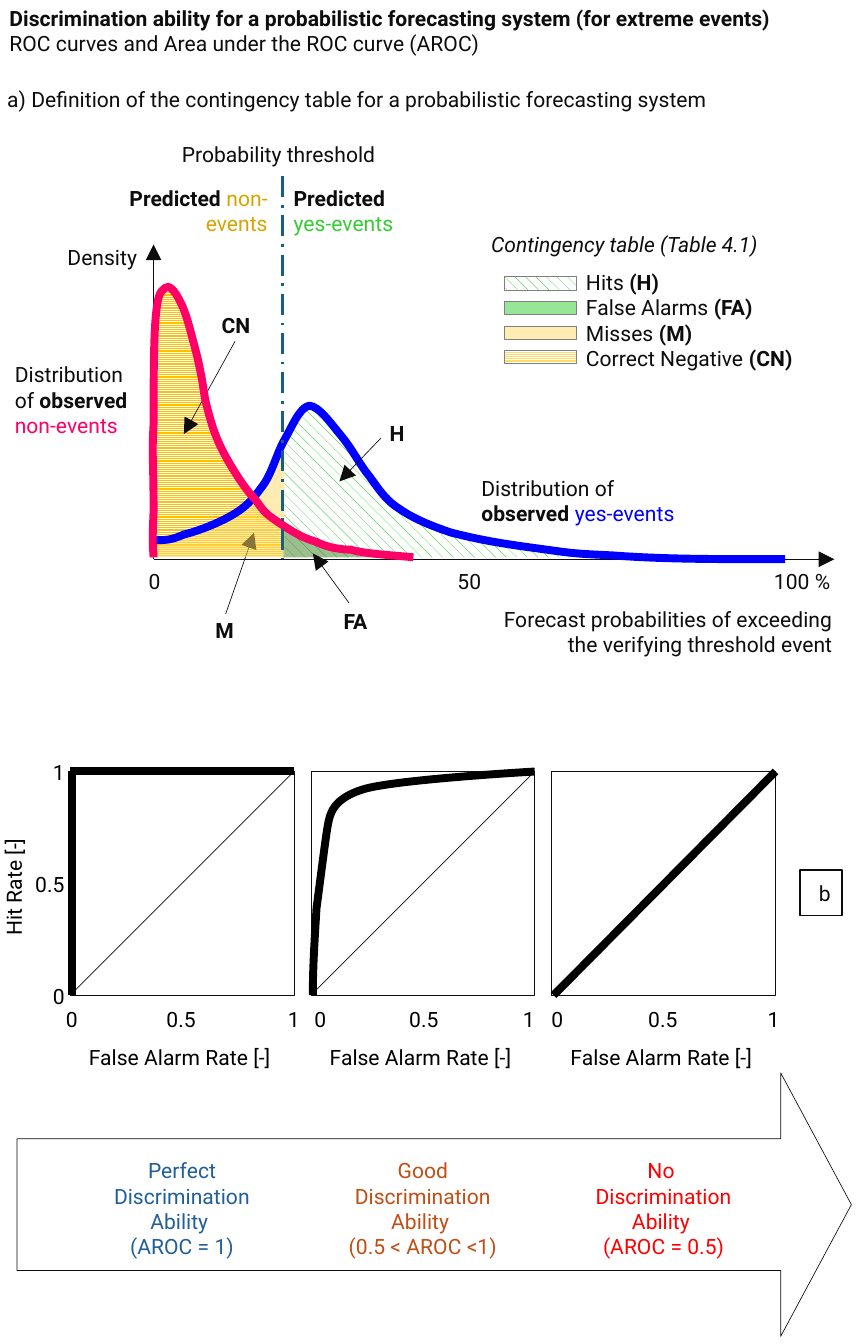
from dataclasses import dataclass
from typing import NamedTuple, Optional

import lxml.etree
import pptx
import pptx.dml.color
import pptx.enum.dml
import pptx.enum.shapes
import pptx.enum.text
import pptx.oxml.ns
import pptx.util

Inches = pptx.util.Inches
Align = pptx.enum.text.PP_ALIGN
Shape = pptx.enum.shapes.MSO_SHAPE
Weave = pptx.enum.dml.MSO_PATTERN
Point = tuple[float, float]
qn = pptx.oxml.ns.qn


# Theme
@dataclass(frozen=True)
class Theme:
    font: str = "Roboto"
    size: float = 8
    ink: str = "0D0D0D"
    black: str = "000000"
    white: str = "FFFFFF"
    grey: str = "808080"
    pink: str = "FF0066"
    blue: str = "0000FF"
    green: str = "33CC33"
    forest: str = "3B7D23"
    gold: str = "FFC000"
    sand: str = "FFDB69"
    ochre: str = "D6A300"
    teal: str = "156082"
    best: str = "215F9A"
    good: str = "C04F15"
    none: str = "FF0000"
    thin: float = 0.25
    thick: float = 3


T = Theme()


class Run(NamedTuple):
    text: str
    color: str = T.ink
    bold: bool = False
    italic: bool = False


class Paint(NamedTuple):
    color: str
    weave: Optional[int] = None


@dataclass
class Label:
    left: float
    top: float
    width: float
    height: float
    lines: list[list[Run]]
    align: int = Align.LEFT
    wrap: bool = True
    turn: float = 0


@dataclass
class Panel:
    color: str
    lines: list[str]
    ticks: tuple[float, float, float]
    strokes: list[tuple[Point, Point]]


deck = pptx.Presentation()
deck.slide_width, deck.slide_height = Inches(4.53), Inches(7.09)
slide = deck.slides.add_slide(deck.slide_layouts[1])
shapes = slide.shapes


# Helpers
def rgb(color: str) -> pptx.dml.color.RGBColor:
    return pptx.dml.color.RGBColor.from_string(color)


def style(font, run: Run) -> None:
    font.name, font.size = T.font, pptx.util.Pt(T.size)
    font.bold, font.italic = run.bold, run.italic
    font.color.rgb = rgb(run.color)


def write(frame, lines: list[list[Run]], align: int = Align.LEFT, wrap: bool = True) -> None:
    frame.word_wrap = wrap
    frame.auto_size = pptx.enum.text.MSO_AUTO_SIZE.SHAPE_TO_FIT_TEXT
    for i, runs in enumerate(lines):
        para = frame.paragraphs[0] if i == 0 else frame.add_paragraph()
        para.alignment = align
        for run in runs:
            piece = para.add_run()
            piece.text = run.text
            if len(runs) > 1:
                style(piece.font, run)
        style(para.font, runs[0])


def place(shape, left: float, top: float, width: float, height: float) -> None:
    shape.left, shape.top = Inches(left), Inches(top)
    shape.width, shape.height = Inches(width), Inches(height)


def label(item: Label) -> None:
    box = shapes.add_textbox(*map(Inches, (item.left, item.top, item.width, item.height)))
    box.rotation = item.turn
    write(box.text_frame, item.lines, item.align, item.wrap)


def finish(shape, paint: Optional[Paint], color: Optional[str], width: float = T.thin) -> None:
    shape.shadow.inherit = False
    fill = shape.fill
    if paint is None:
        fill.background()
    elif paint.weave is not None:
        fill.patterned()
        fill.pattern = paint.weave
        fill.fore_color.rgb, fill.back_color.rgb = rgb(paint.color), rgb(T.white)
    else:
        fill.solid()
        fill.fore_color.rgb = rgb(paint.color)
        tint = shape._element.spPr.find(".//" + qn("a:srgbClr"))
        lxml.etree.SubElement(tint, qn("a:alpha"), val="50000")
    if color is None:
        shape.line.fill.background()
    else:
        shape.line.color.rgb, shape.line.width = rgb(color), pptx.util.Pt(width)


def block(kind: int, left: float, top: float, width: float, height: float,
          paint: Optional[Paint] = None, color: str = T.ink, line: float = T.thin):
    shape = shapes.add_shape(kind, *map(Inches, (left, top, width, height)))
    finish(shape, paint, color, line)
    return shape


def line(start: Point, end: Point, color: str = T.ink, width: float = T.thin,
         arrow: bool = False, dash: Optional[int] = None) -> None:
    link = shapes.add_connector(pptx.enum.shapes.MSO_CONNECTOR.STRAIGHT, *map(Inches, start + end))
    link.line.color.rgb, link.line.width = rgb(color), pptx.util.Pt(width)
    if dash is not None:
        link.line.dash_style = dash
    if arrow:
        lxml.etree.SubElement(link.line._get_or_add_ln(), qn("a:tailEnd"), type="triangle")
    lxml.etree.SubElement(link._element.spPr, qn("a:effectLst"))


def trace(curve: list[Point], corners: list[Point], paint: Optional[Paint] = None,
          color: Optional[str] = None) -> None:
    emu = [(Inches(x), Inches(y)) for x, y in curve + corners]
    pen = shapes.build_freeform(*emu[0], scale=1.0)
    pen.add_line_segments(emu[1:], close=paint is not None)
    shape = pen.convert_to_shape()
    # Each three segments of the curve become one cubic arc
    legs = shape._element.spPr.findall(".//" + qn("a:lnTo"))[:len(curve) - 1]
    for i in range(0, len(legs), 3):
        arc = lxml.etree.Element(qn("a:cubicBezTo"))
        legs[i].addprevious(arc)
        for leg in legs[i:i + 3]:
            arc.append(leg[0])
            leg.getparent().remove(leg)
    finish(shape, paint, color, T.thick)


def area(curve: list[Point], paint: Paint) -> None:
    trace(curve, [(curve[-1][0], BASE), (curve[0][0], BASE)], paint)


# Title and legend list
title, legend = shapes.title, slide.placeholders[1]
place(title, -0.05, -0.02, 4.58, 0.37)
title.text_frame.vertical_anchor = pptx.enum.text.MSO_ANCHOR.TOP
write(title.text_frame, [
    [Run("Discrimination ability for a probabilistic forecasting system (for extreme events)", bold=True)],
    [Run("ROC curves and Area under the ROC curve (AROC)")]])

KEYS = [("Hits", " (H)", Paint(T.green, Weave.WIDE_DOWNWARD_DIAGONAL)),
        ("False Alarms ", "(FA)", Paint(T.green)),
        ("Misses", " (M)", Paint(T.sand)),
        ("Correct Negative ", "(CN)", Paint(T.sand, Weave.DARK_HORIZONTAL))]
place(legend, 2.49, 1.17, 1.92, 0.98)
write(legend.text_frame, [[Run("Contingency table (Table 4.1)", italic=True)]]
      + [[Run(name), Run(code, bold=True)] for name, code, _ in KEYS])
for i, para in enumerate(legend.text_frame.paragraphs):
    para.space_before = pptx.util.Pt(5 if i == 1 else 0)
    props = para._p.get_or_add_pPr()
    props.set("marL", str(Inches(0.5 if i else 0)))
    props.set("indent", "0")
    props.find(qn("a:defRPr")).addprevious(lxml.etree.Element(qn("a:buNone")))
for i, key in enumerate(KEYS):
    block(Shape.RECTANGLE, 2.66, 1.46 + 0.13 * i, 0.38, 0.07, key[2], T.grey)

# Density curves as cubic control points, split at the threshold
BASE = 2.94
MISS = [
    (0.79, 2.85), (0.88, 2.85), (0.9, 2.85), (0.97, 2.82), (1.05, 2.8), (1.15, 2.76), (1.22, 2.72),
    (1.29, 2.68), (1.33, 2.64), (1.38, 2.57), (1.43, 2.51), (1.46, 2.39), (1.5, 2.32)]
HIT = [
    (1.5, 2.32), (1.54, 2.25), (1.58, 2.15), (1.63, 2.14), (1.68, 2.14), (1.75, 2.24), (1.8, 2.3),
    (1.85, 2.36), (1.88, 2.42), (1.93, 2.49), (1.98, 2.55), (2.02, 2.63), (2.1, 2.68),
    (2.17, 2.73), (2.26, 2.77), (2.38, 2.81), (2.5, 2.84), (2.59, 2.86), (2.81, 2.89),
    (3.03, 2.92), (3.01, 2.92), (3.23, 2.93)]
END = [(3.5, 2.95), (3.76, 2.95), (4.14, 2.95)]
CALM = [
    (0.81, 2.94), (0.81, 2.9), (0.8, 2.91), (0.81, 2.7), (0.81, 2.42), (0.8, 2.41), (0.81, 2.24),
    (0.81, 2.07), (0.81, 1.81), (0.82, 1.69), (0.83, 1.57), (0.84, 1.54), (0.87, 1.52),
    (0.89, 1.5), (0.92, 1.53), (0.95, 1.59), (0.98, 1.65), (0.99, 1.69), (1.04, 1.88),
    (1.08, 2.06), (1.07, 2.06), (1.09, 2.14), (1.11, 2.22), (1.13, 2.29), (1.17, 2.37),
    (1.21, 2.45), (1.29, 2.58), (1.35, 2.64), (1.4, 2.71), (1.4, 2.71), (1.49, 2.77)]
FALSE = [
    (1.49, 2.77), (1.58, 2.83), (1.61, 2.84), (1.67, 2.86), (1.73, 2.89), (1.8, 2.9), (1.85, 2.9),
    (1.91, 2.92), (2.07, 2.93), (2.18, 2.94)]
area(CALM, Paint(T.gold, Weave.DARK_HORIZONTAL))
for tip in ((0.81, 1.29), (4.4, 2.95)):
    line((0.81, 2.95), tip, width=0.5, arrow=True)
line((1.24, 1.8), (0.97, 2.29), arrow=True)
line((1.19, 3.24), (1.34, 2.81), arrow=True)
area(HIT, KEYS[0][2])
area(FALSE, Paint(T.forest))
line((1.84, 3.18), (1.65, 2.92), arrow=True)
area(MISS, Paint(T.sand))
trace(MISS + HIT[1:] + END, [], color=T.blue)
trace(CALM + FALSE[1:], [], color=T.pink)
line((2.01, 2.31), (1.79, 2.54), arrow=True)
line((1.49, 0.93), (1.49, 2.95), T.teal, 1, dash=pptx.enum.dml.MSO_LINE.LONG_DASH_DOT)

# Density labels
for text, left, top in (("CN", 1.06, 1.6), ("M", 1, 3.21), ("FA", 1.69, 3.16), ("H", 1.91, 2.17)):
    label(Label(left, top, 0.37, 0.24, [[Run(text, bold=True)]], Align.CENTER))
for text, left, top, width in (("Probability threshold", 0.57, 0.7, 1.8), ("Density", 0.24, 1.24, 0.6),
                               ("0", 0.63, 2.95, 0.37), ("50", 2.25, 2.95, 0.45), ("100 %", 3.94, 2.95, 0.58)):
    label(Label(left, top, width, 0.24, [[Run(text)]], Align.CENTER))
SEEN = [Run("Distribution of "), Run("observed ", bold=True)]
for item in (
        Label(-0.06, 0.41, 4.5, 0.24, [[Run(
            "a) Definition of the contingency table for a probabilistic forecasting system")]]),
        Label(-0.02, 1.86, 0.86, 0.5, [SEEN + [Run("non-events", T.pink)]]),
        Label(2.44, 2.46, 1.38, 0.37, [SEEN + [Run("yes-events", T.blue)]]),
        Label(0.57, 0.93, 0.94, 0.37, [[Run("Predicted ", bold=True), Run("non-events", T.ochre)]], Align.RIGHT),
        Label(1.45, 0.93, 0.94, 0.37, [[Run("Predicted", bold=True)], [Run("yes-events", T.green)]]),
        Label(2.49, 3.15, 2, 0.37, [[Run(
            "Forecast probabilities of exceeding the verifying threshold event")]], Align.RIGHT)):
    label(item)

# ROC panels
SIDE, TOP, STEP = 1.18, 4.07, 1.27
PANELS = [Panel(T.best, ["Perfect Discrimination Ability ", "(AROC = 1)"], (0.25, 0.78, 1.42),
                [((0, 0), (SIDE, 0)), ((0.01, 0), (0.01, SIDE))]),
          Panel(T.good, ["Good Discrimination Ability ", "(0.5 < AROC <1)"], (1.56, 2.06, 2.66), []),
          Panel(T.none, ["No ", "Discrimination Ability ", "(AROC = 0.5)"], (2.81, 3.32, 3.95),
                [((0.01, SIDE), (SIDE, 0))])]
block(Shape.RIGHT_ARROW, 0.09, 5.66, 4.4, 1.39).adjustments[1] = 0.268
for i, panel in enumerate(PANELS):
    left = 0.37 + STEP * i
    block(Shape.RECTANGLE, left, TOP, SIDE, SIDE)
    if i < 2:
        line((left, TOP + SIDE), (left + SIDE, TOP))
    for start, end in panel.strokes:
        line((left + start[0], TOP + start[1]), (left + end[0], TOP + end[1]), T.black, T.thick)
    for text, spot, width in zip(("0", "0.5", "1"), panel.ticks, (0.27, 0.36, 0.27)):
        label(Label(spot, 5.26, width, 0.24, [[Run(text, T.black)]], wrap=False))
    label(Label(left, 5.46, 1.19, 0.24, [[Run("False Alarm Rate [-]", T.black)]], wrap=False))
    label(Label(left, 6.06, SIDE, 0.64, [[Run(text, panel.color)] for text in panel.lines], Align.CENTER))
trace([(1.65, 5.25), (1.65, 5.1), (1.66, 4.95), (1.67, 4.79), (1.69, 4.64), (1.72, 4.4), (1.73, 4.35),
       (1.74, 4.3), (1.75, 4.21), (1.93, 4.16), (2.12, 4.11), (2.82, 4.07), (2.82, 4.07)], [], color=T.black)
for text, left, top, width in (("0", 0.17, 5.14, 0.27), ("0.5", 0.08, 4.55, 0.36), ("1", 0.17, 3.96, 0.27)):
    label(Label(left, top, width, 0.24, [[Run(text, T.black)]], Align.RIGHT, False))
label(Label(-0.29, 4.55, 0.73, 0.24, [[Run("Hit Rate [-]", T.black)]], wrap=False, turn=270))
mark = block(Shape.RECTANGLE, 4.22, 4.59, 0.22, 0.24, line=0.75)
write(mark.text_frame, [[Run("b")]], Align.CENTER)

deck.save("out.pptx")
